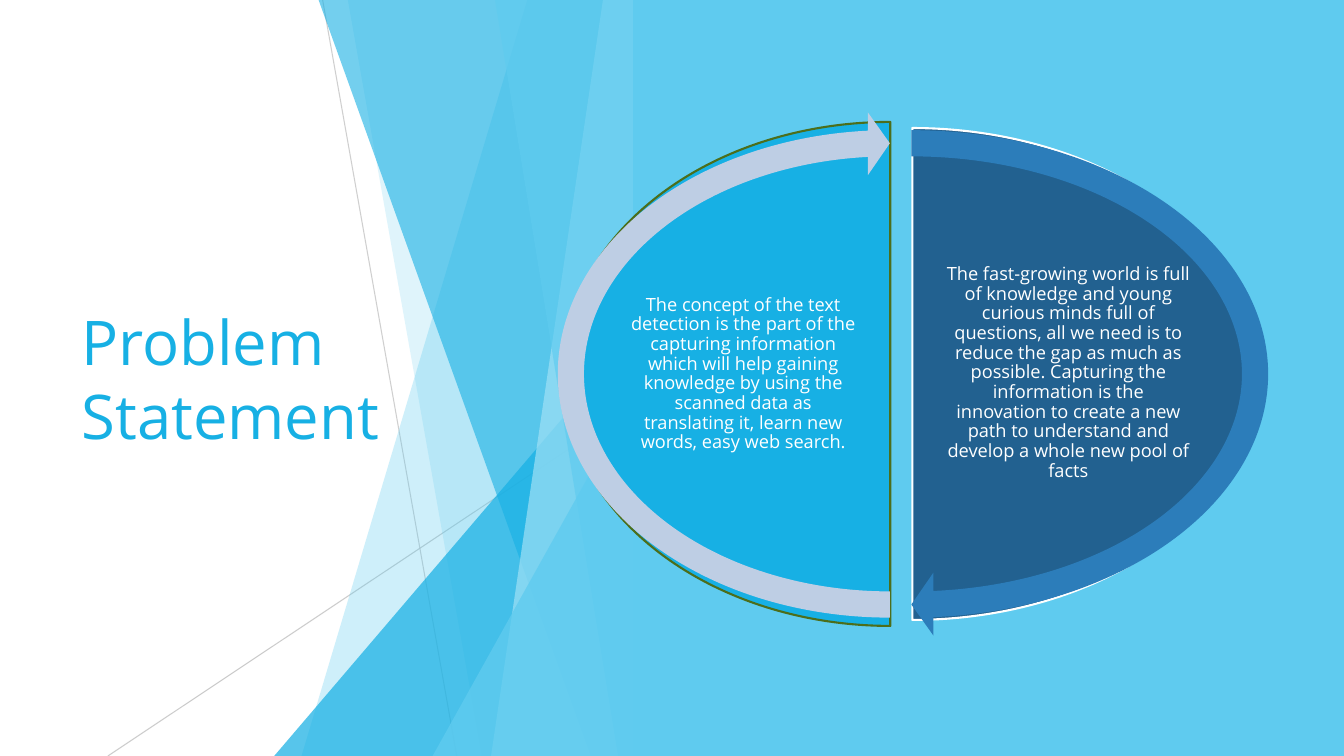
from lxml import etree
from pptx import Presentation
from pptx import util as u
from pptx.dml.color import RGBColor
from pptx.enum import shapes, text
from pptx.oxml.ns import qn

# Content
TITLE = "Problem Statement"
LEFT = ("The concept of the text detection is the part of the capturing information "
        "which will help gaining knowledge by using the scanned data as translating it, "
        "learn new words, easy web search.")
RIGHT = ("The fast-growing world is full of knowledge and young curious minds full of "
         "questions, all we need is to reduce the gap as much as possible. Capturing the "
         "information is the innovation to create a new path to understand and develop "
         "a whole new pool of facts")

W, H, EDGE = 13.33, 7.5, 6.28   # slide size, left side of the blue panel
FONT, SKY, BLUE, WHITE = "Open Sans", "5FCBEF", "17B0E4", "FFFFFF"
PIE, ARROW = shapes.MSO_SHAPE.PIE, shapes.MSO_SHAPE.CIRCULAR_ARROW
TRI, RECT = shapes.MSO_SHAPE.ISOSCELES_TRIANGLE, shapes.MSO_SHAPE.RECTANGLE
UP, DOWN = 162, 54              # pie angles: twelve and six o'clock

# Thin rays: from, to, opacity
RAYS = [((3.2, 0), (4.53, H), 75), ((EDGE, 4.03), (1.07, H), 80)]
# Facets reach the panel; a band has top and bottom x, a wedge has left and top
FACETS = [
    ("band", 5.23, 2.99, SKY, 30),
    ("band", 3.45, 4.78, SKY, 20),
    ("wedge", 2.72, 3.33, BLUE, 72),
    ("band", 3.16, 5.86, BLUE, 60),
    ("band", 5.98, 4.87, "9FE0F5", 70),
    ("band", 4.91, 6.13, SKY, 65),
    ("wedge", 4.29, 3.93, SKY, 80),
]
# Cycle: kind, box, adjustments, fill, line, words, box of the words
CYCLE = [
    (PIE, (5.62, 1.27, 6.86, 4.88), (UP, DOWN), "226190", WHITE,
     RIGHT, (9.37, 2.54, 2.45, 2.32)),
    (PIE, (5.58, 1.21, 6.5, 5), (DOWN, UP), BLUE, "4C6E1B",
     LEFT, (6.21, 2.52, 2.32, 2.38)),
    (ARROW, (5.32, 1.11, 7.44, 5.2), (0.05, 3.28, 50.73, UP, 0.06), "2C7DBA", None, None, None),
    (ARROW, (5.35, 1.11, 6.95, 5.2), (0.05, 3.28, 158.73, DOWN, 0.06), "BECEE4", None, None, None),
]

deck = Presentation()
deck.slide_width, deck.slide_height = u.Inches(W), u.Inches(H)
page = deck.slides.add_slide(deck.slide_layouts[6]).shapes


# Helpers
def inch(*nums):
    return [u.Inches(n) for n in nums]


def paint(fill, hue, alpha=100):
    fill.solid()
    fill.fore_color.rgb = RGBColor.from_string(hue)
    if alpha < 100:
        node = fill._xPr.find(qn("a:solidFill"))[0]
        etree.SubElement(node, qn("a:alpha")).set("val", str(alpha * 1000))


def dress(shape, hue, alpha=100, line=None):
    shape.shadow.inherit = False
    paint(shape.fill, hue, alpha)
    if line:
        paint(shape.line.fill, line)
        shape.line.width = u.Pt(1.5)
    else:
        shape.line.fill.background()


def draw(kind, box, hue, alpha=100, adj=(), line=None):
    shape = page.add_shape(kind, *inch(*box))
    for i, val in enumerate(adj):
        shape.adjustments[i] = val
    dress(shape, hue, alpha, line)


def write(words, box, size, hue, pad=None, **form):
    frame = page.add_textbox(*inch(*box)).text_frame
    frame.word_wrap = True
    frame.vertical_anchor = text.MSO_ANCHOR.MIDDLE
    if pad is not None:
        for side in ("left", "top", "right", "bottom"):
            setattr(frame, "margin_" + side, u.Inches(pad))
    para = frame.paragraphs[0]
    for key, val in form.items():
        setattr(para, key, val)
    run = para.add_run()
    run.text = words
    for key, val in {"name": FONT, "size": u.Pt(size)}.items():
        setattr(run.font, key, val)
    paint(run.font.fill, hue)


# Rays and facets
for start, end, alpha in RAYS:
    ray = page.add_connector(shapes.MSO_CONNECTOR.STRAIGHT, *inch(*start, *end))
    paint(ray.line.fill, "BFBFBF", alpha)
    ray.line.width = u.Pt(0.75)
    etree.SubElement(ray._element.spPr, qn("a:effectLst"))

for kind, a, b, hue, alpha in FACETS:
    if kind == "wedge":
        draw(TRI, (a, b, EDGE - a, H - b), hue, alpha, (1,))
    else:
        path = page.build_freeform(*inch(a, 0))
        path.add_line_segments([inch(*p) for p in ((EDGE, 0), (EDGE, H), (b, H))])
        dress(path.convert_to_shape(), hue, alpha)

# Panel and title
draw(RECT, (EDGE, 0, W - EDGE, H), SKY)
write(TITLE, (0.71, 1.51, 3.88, 4.48), 44, BLUE)

# Cycle of two halves
for kind, box, adj, hue, line, words, area in CYCLE:
    draw(kind, box, hue, adj=adj, line=line)
    if words:
        write(words, area, 13, WHITE, 0.02,
              alignment=text.PP_ALIGN.CENTER, line_spacing=0.9)

deck.save("out.pptx")
